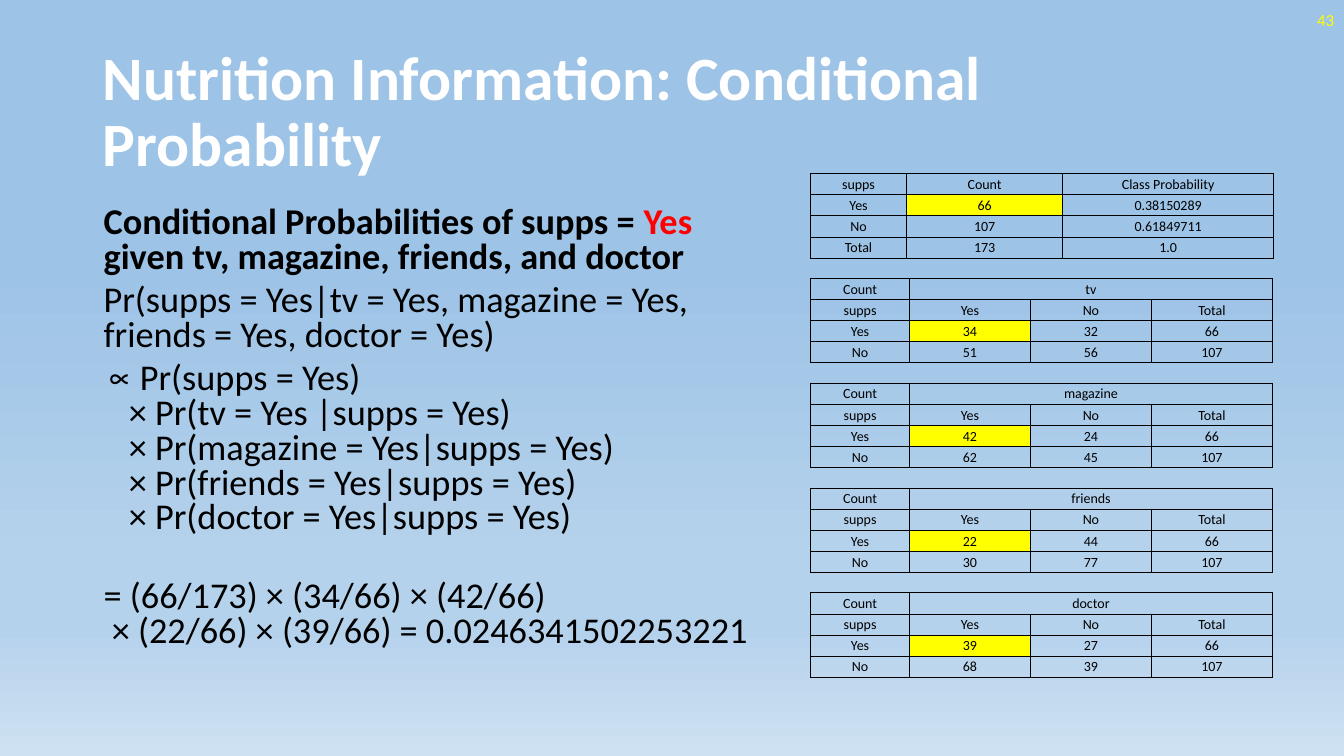
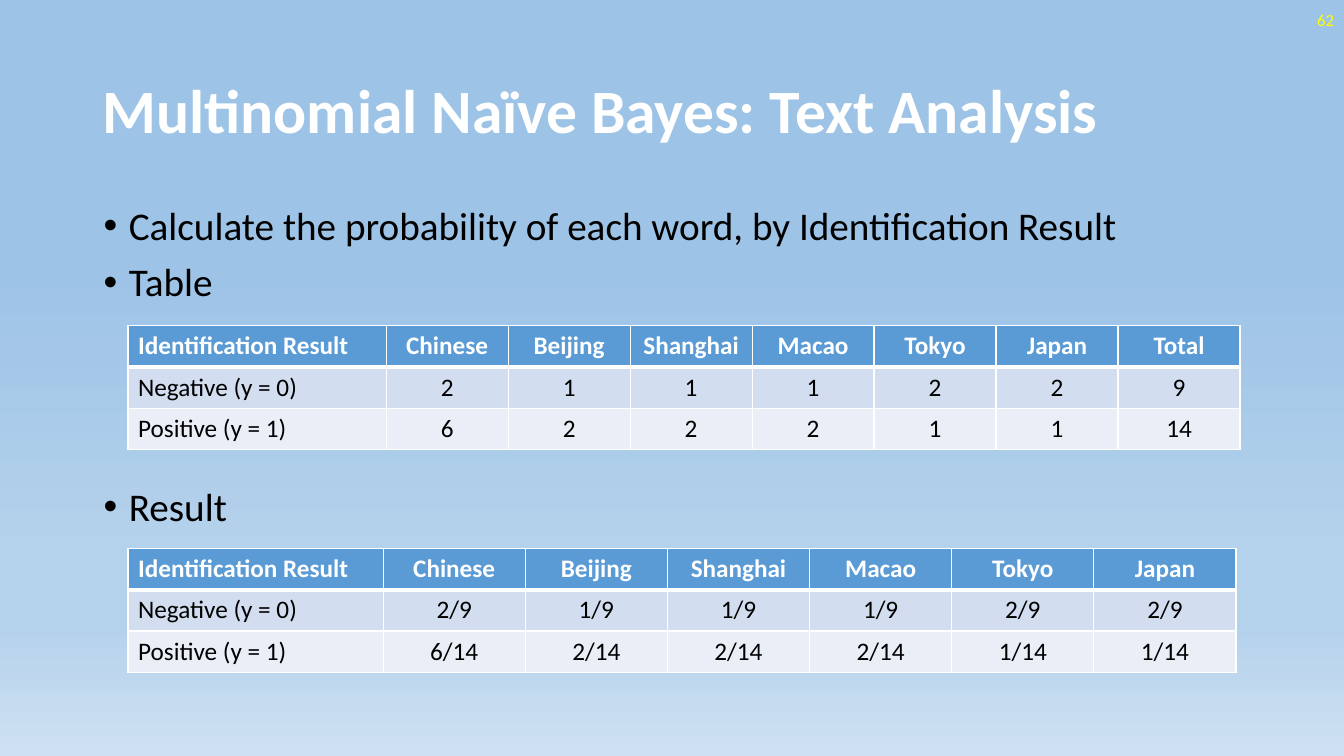
from dataclasses import dataclass

from lxml import etree
from pptx import Presentation
from pptx.dml.color import RGBColor
from pptx.enum.text import MSO_ANCHOR, MSO_AUTO_SIZE, PP_ALIGN
from pptx.oxml.ns import qn
from pptx.util import Inches, Pt

LEFT, CENTER, RIGHT = PP_ALIGN.LEFT, PP_ALIGN.CENTER, PP_ALIGN.RIGHT
MIDDLE, TOP = MSO_ANCHOR.MIDDLE, MSO_ANCHOR.TOP
NO_AUTOFIT = MSO_AUTO_SIZE.NONE
TITLE_ONLY = 5

FONT = "Calibri"
WHITE, BLACK, YELLOW, RED = "FFFFFF", "000000", "FFFF00", "FF0000"
BLUE, BAND_DARK, BAND_LIGHT = "5B9BD5", "D2DEEF", "EAEFF7"
SKY = [(35, "9DC3E6"), (74, "B5D2EC"), (83, "B5D2EC"), (100, "CEE1F2")]


def rgb(value):
    return RGBColor.from_string(value)


@dataclass
class TableStyle:
    size: float
    row_height: float
    line: str
    weight: float
    head_weight: float
    head_color: str
    head_bold: bool
    first_align: PP_ALIGN
    margins: tuple
    row_fills: tuple


GRID = TableStyle(10, 0.21, BLACK, 0.5, 0.5, BLACK, False, CENTER,
                  (0.01, 0.01, 0.01, 0), (None,) * 4)
BANDED = TableStyle(18, 0.41, WHITE, 1, 3, WHITE, True, LEFT,
                    (0.1, 0.05, 0.1, 0.05), (BLUE, BAND_DARK, BAND_LIGHT))


@dataclass
class Para:
    runs: list
    bullet: str = ""
    before: float = 0
    bold: bool = False


class Deck:
    def __init__(self):
        self.prs = Presentation()
        self.prs.slide_width = Inches(13.33)
        self.prs.slide_height = Inches(7.5)
        self.s = None
        self.set_background()

    def set_background(self):
        fill = self.prs.slide_master.background.fill
        fill.gradient()
        fill.gradient_angle = 270
        bg = self.prs.slide_master.element.find(".//" + qn("p:bg"))
        stops = bg.find(".//" + qn("a:gsLst"))
        for stop in list(stops):
            stops.remove(stop)
        for position, color in SKY:
            stop = etree.SubElement(stops, qn("a:gs"), pos=str(position * 1000))
            etree.SubElement(stop, qn("a:srgbClr"), val=color)

    def font(self, r, size, color, bold=False):
        r.font.name = FONT
        r.font.size = Pt(size)
        r.font.bold = bold
        r.font.color.rgb = rgb(color)

    def frame(self, sp, anchor):
        tf = sp.text_frame
        tf.word_wrap = True
        tf.auto_size = NO_AUTOFIT
        tf.vertical_anchor = anchor
        return tf

    def textbox(self, left, top, width, height, anchor):
        sp = self.s.shapes.add_textbox(
            Inches(left), Inches(top), Inches(width), Inches(height))
        return self.frame(sp, anchor)

    def slide(self, title, number):
        self.s = self.prs.slides.add_slide(self.prs.slide_layouts[TITLE_ONLY])
        sp = self.s.shapes.title
        sp.left, sp.top = Inches(0.92), Inches(0.4)
        sp.width, sp.height = Inches(11.5), Inches(1.45)
        p = self.frame(sp, MIDDLE).paragraphs[0]
        p.text = title
        p.alignment = LEFT
        p.line_spacing = 0.9
        self.font(p.runs[0], 44, WHITE, True)
        p = self.textbox(10.33, 0, 3, 0.4, MIDDLE).paragraphs[0]
        p.text = number
        p.alignment = RIGHT
        self.font(p.runs[0], 12, YELLOW)

    def body(self, width, size, spacing, paras):
        tf = self.textbox(0.93, 2, width, 4.76, TOP)
        for i, para in enumerate(paras):
            p = tf.add_paragraph() if i else tf.paragraphs[0]
            if para.bullet:
                self.bullet(p, para.bullet)
            p.line_spacing = spacing
            p.space_before = Pt(para.before)
            for text, color in para.runs:
                for j, line in enumerate(text.split("\n")):
                    if j:
                        p.add_line_break()
                    r = p.add_run()
                    r.text = line
                    self.font(r, size, color, para.bold)

    def bullet(self, p, char):
        pPr = p._p.get_or_add_pPr()
        pPr.set("marL", str(Inches(0.25)))
        pPr.set("indent", str(-Inches(0.25)))
        etree.SubElement(pPr, qn("a:buFont"), typeface="Arial")
        etree.SubElement(pPr, qn("a:buChar"), char=char)

    def table(self, left, top, widths, rows, style, highlight=None, merge=None):
        shape = self.s.shapes.add_table(
            len(rows), len(widths), Inches(left), Inches(top),
            Inches(sum(widths)), Inches(style.row_height * len(rows)))
        table = shape.table
        table.first_row = table.horz_banding = False
        for column, width in zip(table.columns, widths):
            column.width = Inches(width)
        for i, values in enumerate(rows):
            table.rows[i].height = Inches(style.row_height)
            for j, value in enumerate(values):
                fill = YELLOW if (i, j) == highlight else style.row_fills[i]
                self.cell(table.cell(i, j), value, i, j, fill, style)
        if merge:
            first, last = merge
            table.cell(*first).merge(table.cell(*last))

    def cell(self, cell, value, row, col, fill, style):
        (cell.margin_left, cell.margin_top,
         cell.margin_right, cell.margin_bottom) = map(Inches, style.margins)
        cell.vertical_anchor = MIDDLE
        if fill:
            cell.fill.solid()
            cell.fill.fore_color.rgb = rgb(fill)
        else:
            cell.fill.background()
        p = cell.text_frame.paragraphs[0]
        p.text = value
        p.alignment = CENTER if col else style.first_align
        for r in p.runs:
            self.font(r, style.size, BLACK if row else style.head_color,
                      style.head_bold and row == 0)
        top = style.head_weight if row == 1 else style.weight
        bottom = style.head_weight if row == 0 else style.weight
        self.borders(cell, style.line, (style.weight, style.weight, top, bottom))

    def borders(self, cell, color, weights):
        tcPr = cell._tc.get_or_add_tcPr()
        for i, (side, weight) in enumerate(zip("LRTB", weights)):
            ln = etree.Element(qn("a:ln" + side), w=str(Pt(weight)))
            fill = etree.SubElement(ln, qn("a:solidFill"))
            etree.SubElement(fill, qn("a:srgbClr"), val=color)
            tcPr.insert(i, ln)


def conditional_slide(deck):
    deck.slide("Nutrition Information: Conditional Probability", "43")
    deck.body(6.74, 25.9, 0.8, [
        Para([("Conditional Probabilities of supps = ", BLACK), ("Yes", RED),
              (" given tv, magazine, friends, and doctor", BLACK)], bold=True),
        Para([("Pr(supps = Yes|tv = Yes, magazine = Yes,\n"
               "friends = Yes, doctor = Yes)", BLACK)], before=6),
        Para([("Pr(supps = Yes)\n"
               "× Pr(tv = Yes |supps = Yes)\n"
               "× Pr(magazine = Yes|supps = Yes)\n"
               "× Pr(friends = Yes|supps = Yes)\n"
               "× Pr(doctor = Yes|supps = Yes)", BLACK)], "∝", 6),
        Para([("= (66/173) × (34/66) × (42/66)\n"
               " × (22/66) × (39/66) = 0.0246341502253221", BLACK)], before=31),
    ])
    left, top, step = 8.04, 1.72, 1.04
    deck.table(left, top, [0.95, 1.55, 2.09], [
        ["supps", "Count", "Class Probability"],
        ["Yes", "66", "0.38150289"],
        ["No", "107", "0.61849711"],
        ["Total", "173", "1.0"],
    ], GRID, highlight=(1, 1))
    sources = [
        ("tv", ["34", "32"], ["51", "56"]),
        ("magazine", ["42", "24"], ["62", "45"]),
        ("friends", ["22", "44"], ["30", "77"]),
        ("doctor", ["39", "27"], ["68", "39"]),
    ]
    for i, (source, yes, no) in enumerate(sources, 1):
        deck.table(left, top + i * step, [0.98] + [1.2] * 3, [
            ["Count", source, "", ""],
            ["supps", "Yes", "No", "Total"],
            ["Yes", *yes, "66"],
            ["No", *no, "107"],
        ], GRID, highlight=(2, 1), merge=((0, 1), (0, 3)))


def text_analysis_slide(deck):
    deck.slide("Multinomial Naïve Bayes: Text Analysis", "62")
    deck.body(11.5, 28, 0.9, [
        Para([("Calculate the probability of each word, by Identification Result",
               BLACK)], "•"),
        Para([("Table", BLACK)], "•", 10),
        Para([("Result", BLACK)], "•", 130),
    ])
    head = ["Identification Result", "Chinese", "Beijing", "Shanghai",
            "Macao", "Tokyo", "Japan"]
    negative, positive = "Negative (y = 0)", "Positive (y = 1)"
    deck.table(1.27, 3.23, [2.56] + [1.21] * 7, [
        head + ["Total"],
        [negative, "2", "1", "1", "1", "2", "2", "9"],
        [positive, "6", "2", "2", "2", "1", "1", "14"],
    ], BANDED)
    deck.table(1.27, 5.44, [2.53] + [1.41] * 6, [
        head,
        [negative, "2/9", "1/9", "1/9", "1/9", "2/9", "2/9"],
        [positive, "6/14", "2/14", "2/14", "2/14", "1/14", "1/14"],
    ], BANDED)


def main():
    deck = Deck()
    conditional_slide(deck)
    text_analysis_slide(deck)
    deck.prs.save("out.pptx")


if __name__ == "__main__":
    main()
